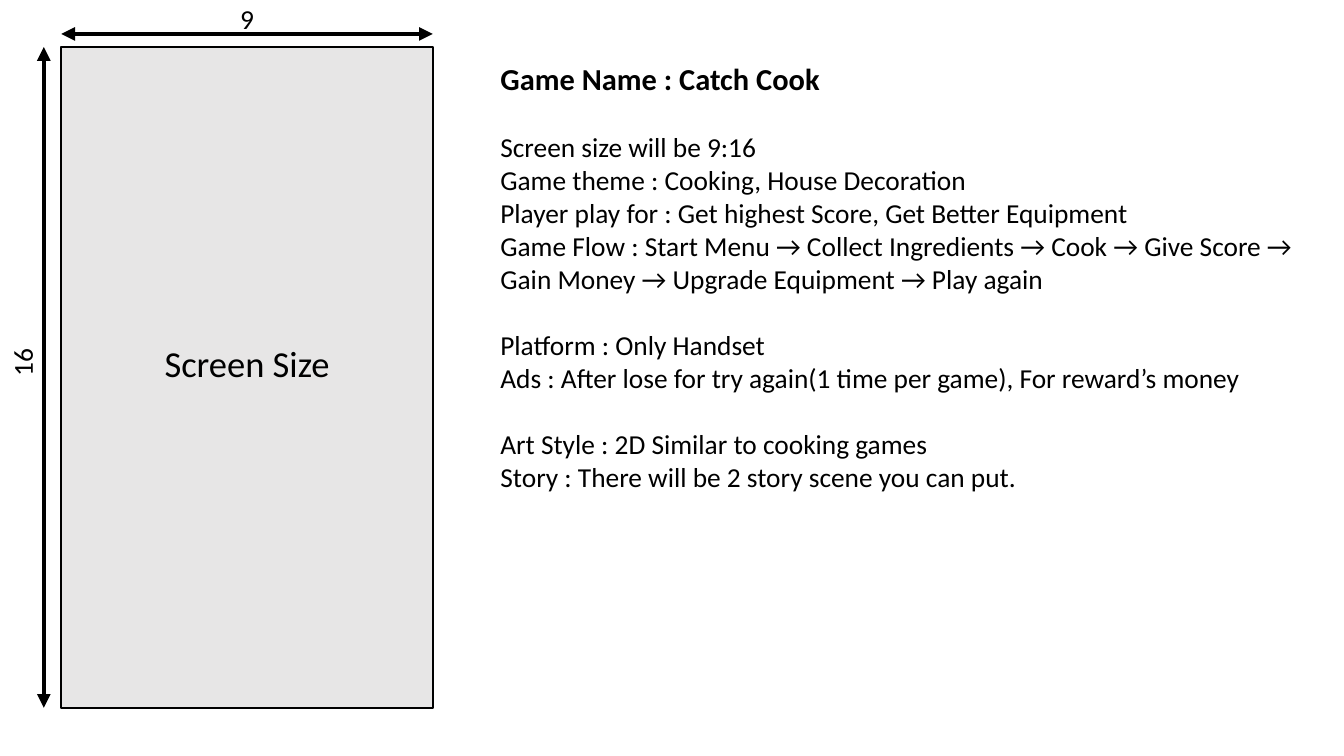
import pptx
import pptx.util
import pptx.dml.color
import pptx.enum.shapes
import pptx.enum.text
import pptx.oxml.ns
import lxml.etree

TITLE = "Game Name : Catch Cook"
GROUPS = [
    ["Screen size will be 9:16",
     "Game theme : Cooking, House Decoration",
     "Player play for : Get highest Score, Get Better Equipment",
     "Game Flow : Start Menu → Collect Ingredients → Cook → Give Score → "
     "Gain Money → Upgrade Equipment → Play again"],
    ["Platform : Only Handset",
     "Ads : After lose for try again(1 time per game), For reward’s money"],
    ["Art Style : 2D Similar to cooking games",
     "Story : There will be 2 story scene you can put."],
]
COLORS = {"ink": "000000", "screen": "E7E6E6"}
WIDE, HIGH = 12.27, 6.9
LEFT, TOP, TALL = 0.56, 0.43, 6.03
SPAN = TALL * 9 / 16
RIGHT, BASE = LEFT + SPAN, TOP + TALL
MID = LEFT + SPAN / 2
LABELS = [
    ("Screen Size", 24, MID, 3.31, 2.99, 0.5, 0),
    ("16", 18, 0.2, 3.31, 0.5, 0.4, 270),
    ("9", 18, MID, 0.17, 0.47, 0.34, 0),
]
ARROWS = [(LEFT, 0.31, RIGHT, 0.31), (0.4, TOP, 0.4, BASE)]

inch = pptx.util.Inches
point = pptx.util.Pt


def color(name):
    return pptx.dml.color.RGBColor.from_string(COLORS[name])


def style(para, size, bold=False):
    font = para.font
    font.name, font.size, font.bold = "Calibri", point(size), bold
    font.color.rgb = color("ink")


def label(text, size, x, y, w, h, turn):
    box = slide.shapes.add_textbox(inch(x - w / 2), inch(y - h / 2), inch(w), inch(h))
    box.rotation = turn
    frame = box.text_frame
    frame.word_wrap = True
    frame.margin_top = frame.margin_bottom = 0
    frame.vertical_anchor = pptx.enum.text.MSO_ANCHOR.MIDDLE
    para = frame.paragraphs[0]
    para.text = text
    para.alignment = pptx.enum.text.PP_ALIGN.CENTER
    style(para, size)


def arrow(*ends):
    line = slide.shapes.add_connector(
        pptx.enum.shapes.MSO_CONNECTOR.STRAIGHT, *map(inch, ends))
    line.line.color.rgb = color("ink")
    line.line.width = point(3)
    stroke = line.line._get_or_add_ln()
    for end in ("a:headEnd", "a:tailEnd"):
        lxml.etree.SubElement(stroke, pptx.oxml.ns.qn(end), type="triangle")
    lxml.etree.SubElement(line._element.spPr, pptx.oxml.ns.qn("a:effectLst"))


deck = pptx.Presentation()
deck.slide_width, deck.slide_height = inch(WIDE), inch(HIGH)
slide = deck.slides.add_slide(deck.slide_layouts[6])

screen = slide.shapes.add_shape(
    pptx.enum.shapes.MSO_SHAPE.RECTANGLE,
    inch(LEFT), inch(TOP), inch(SPAN), inch(TALL))
screen.shadow.inherit = False
screen.fill.solid()
screen.fill.fore_color.rgb = color("screen")
screen.line.color.rgb = color("ink")
screen.line.width = point(1.5)

brief = slide.shapes.add_textbox(inch(4.47), inch(0.5), inch(7.66), inch(4.64))
frame = brief.text_frame
frame.word_wrap = True
head = frame.paragraphs[0]
head.text = TITLE
style(head, 20, True)
for group in GROUPS:
    for row, text in enumerate(group):
        para = frame.add_paragraph()
        para.text = text
        para.space_before = point(0 if row else 22)
        style(para, 18)

for item in LABELS:
    label(*item)
for ends in ARROWS:
    arrow(*ends)

deck.save("out.pptx")
